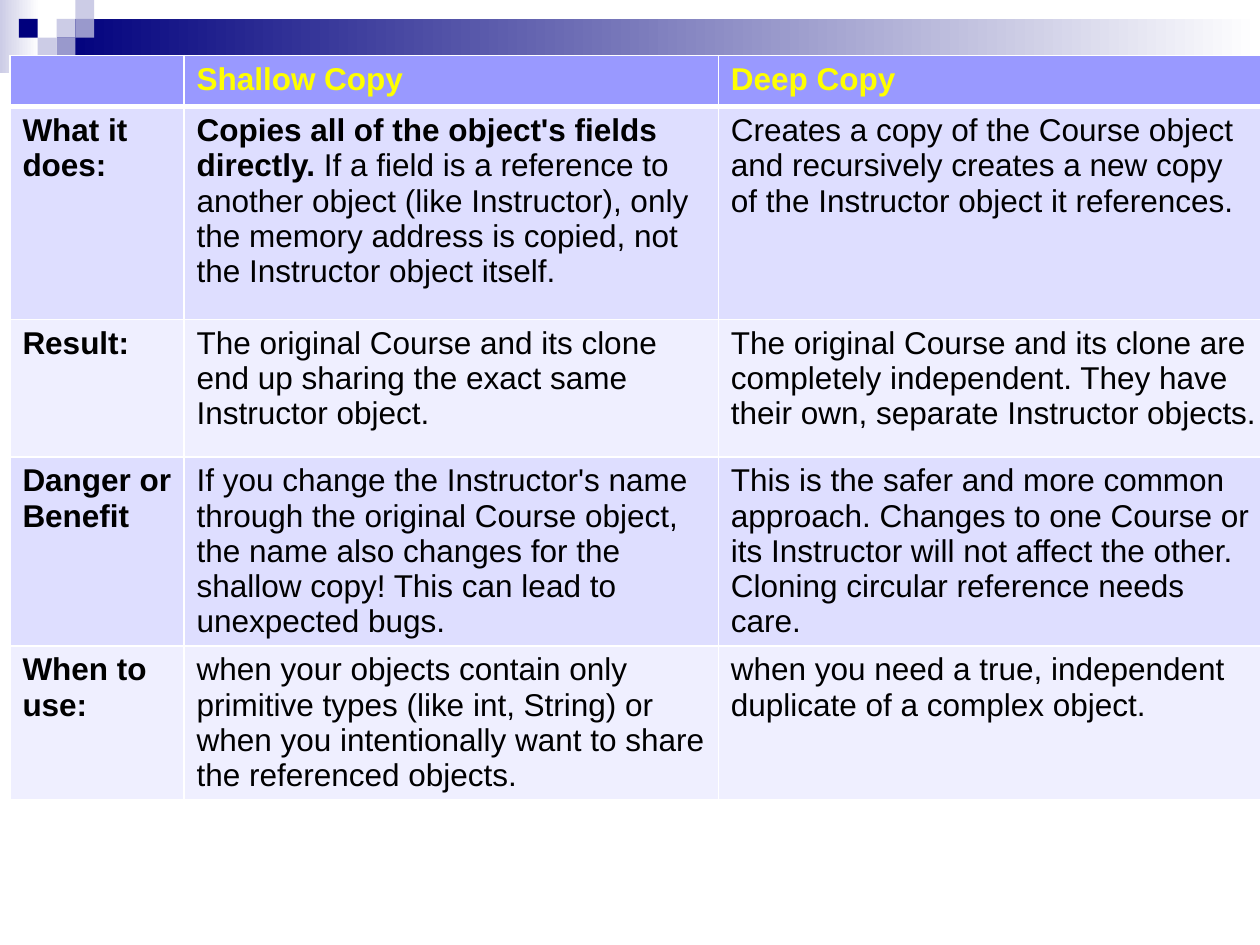
import pptx
import pptx.dml.color
import pptx.enum.shapes
import pptx.oxml
import pptx.oxml.ns
import pptx.util
from pptx.util import Cm

RGBColor = pptx.dml.color.RGBColor
WHITE = RGBColor(0xFF, 0xFF, 0xFF)
BLACK = RGBColor(0x00, 0x00, 0x00)
YELLOW = RGBColor(0xFF, 0xFF, 0x00)
NAVY = RGBColor(0x00, 0x00, 0x7D)
PALE = RGBColor(0xCC, 0xCC, 0xE6)
LAVENDER = RGBColor(0x99, 0x99, 0xCC)
HEADER = RGBColor(0x99, 0x99, 0xFF)
BAND_DARK = RGBColor(0xDE, 0xDE, 0xFF)
BAND_LIGHT = RGBColor(0xEF, 0xEF, 0xFF)


def add_block(left, top, width, height, *colors):
    """Add a borderless rectangle, plain for one colour and a gradient for two."""
    block = slide.shapes.add_shape(
        pptx.enum.shapes.MSO_SHAPE.RECTANGLE, Cm(left), Cm(top), Cm(width), Cm(height))
    block.shadow.inherit = False
    block.line.fill.background()
    if len(colors) == 1:
        block.fill.solid()
        block.fill.fore_color.rgb = colors[0]
    else:
        block.fill.gradient()
        block.fill.gradient_angle = 0
        for stop, color in zip(block.fill.gradient_stops, colors):
            stop.color.rgb = color


def set_borders(cell, bottom, top):
    """Draw white borders; bottom and top are widths in points, the sides 1 pt."""
    properties = cell._tc.get_or_add_tcPr()
    widths = {"lnL": 1, "lnR": 1, "lnT": top, "lnB": bottom}
    for position, (side, width) in enumerate(widths.items()):
        properties.insert(position, pptx.oxml.parse_xml(
            f'<a:{side} {pptx.oxml.ns.nsdecls("a")} w="{pptx.util.Pt(width)}">'
            f'<a:solidFill><a:srgbClr val="{WHITE}"/></a:solidFill></a:{side}>'))


presentation = pptx.Presentation()
presentation.slide_width = Cm(25.4)
presentation.slide_height = Cm(19.05)
slide = presentation.slides.add_slide(presentation.slide_layouts[6])

# Banner with squares on a grid
add_block(0, 0, 0.79, 1.47, PALE, WHITE)
add_block(1.14, 0.38, 24.26, 0.76, NAVY, WHITE)
SQUARE = 0.38
squares = [(3, 1, PALE), (4, 0, PALE), (4, 1, LAVENDER), (2, 2, PALE),
           (1, 1, NAVY), (3, 2, LAVENDER), (2, 3, LAVENDER)]
for column, row, color in squares:
    add_block(column * SQUARE, row * SQUARE, SQUARE, SQUARE, color)

# Each cell holds (text, bold) runs
comparison = [
    [[], [("Shallow Copy", True)], [("Deep Copy", True)]],
    [[("What it does:", True)],
     [("Copies all of the object's fields directly. ", True),
      ("If a field is a reference to another object (like Instructor), only the "
       "memory address is copied, not the Instructor object itself.", False)],
     [("Creates a copy of the Course object and recursively creates a new copy of "
       "the Instructor object it references.", False)]],
    [[("Result:", True)],
     [("The original Course and its clone end up sharing the exact same Instructor "
       "object.", False)],
     [("The original Course and its clone are completely independent. They have "
       "their own, separate Instructor objects.", False)]],
    [[("Danger or Benefit", True)],
     [("If you change the Instructor's name through the original Course object, the "
       "name also changes for the shallow copy! This can lead to unexpected bugs.",
       False)],
     [("This is the safer and more common approach. Changes to one Course or its "
       "Instructor will not affect the other. Cloning circular reference needs care.",
       False)]],
    [[("When to use:", True)],
     [("when your objects contain only primitive types (like int, String) or when "
       "you intentionally want to share the referenced objects.", False)],
     [("when you need a true, independent duplicate of a complex object.", False)]],
]
column_widths = [3.51, 10.77, 11.13]
row_heights = [1.03, 4.29, 2.77, 3.8, 3.08]

table = slide.shapes.add_table(
    len(row_heights), len(column_widths), Cm(0.2), Cm(1.12),
    Cm(sum(column_widths)), Cm(sum(row_heights))).table
for column, width in zip(table.columns, column_widths):
    column.width = Cm(width)
for row, height in zip(table.rows, row_heights):
    row.height = Cm(height)

for row_index, row_texts in enumerate(comparison):
    is_header = row_index == 0
    band = HEADER if is_header else BAND_DARK if row_index % 2 else BAND_LIGHT
    for column_index, runs in enumerate(row_texts):
        cell = table.cell(row_index, column_index)
        cell.fill.solid()
        cell.fill.fore_color.rgb = band
        set_borders(cell, bottom=3 if is_header else 1, top=3 if row_index == 1 else 1)
        paragraph = cell.text_frame.paragraphs[0]
        for text, bold in runs:
            run = paragraph.add_run()
            run.text = text
            font_format = {"name": "Arial", "size": pptx.util.Pt(18), "bold": bold}
            for attribute, value in font_format.items():
                setattr(run.font, attribute, value)
            run.font.color.rgb = YELLOW if is_header else BLACK

presentation.save("out.pptx")
